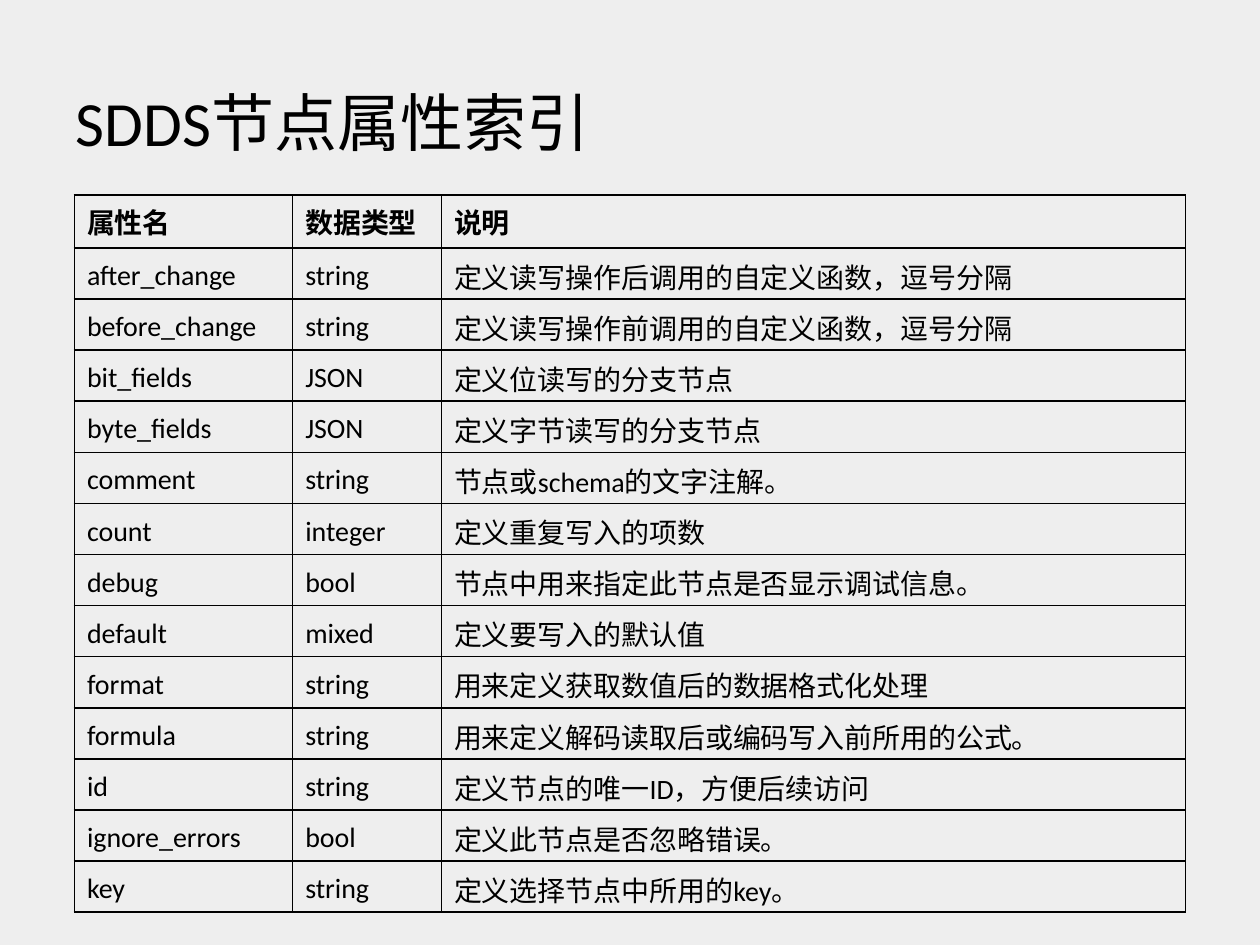
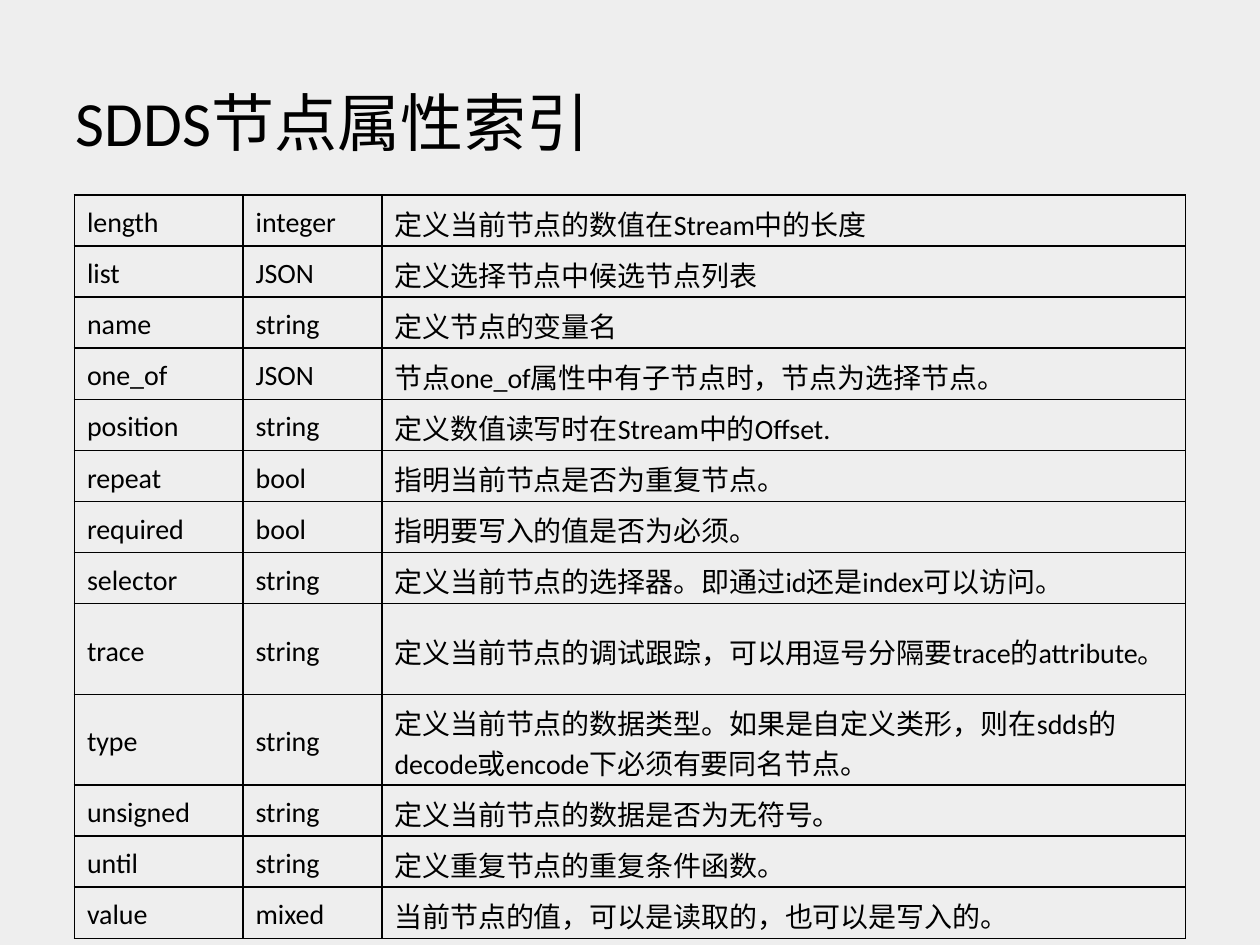
from lxml.etree import SubElement
from pptx import Presentation
from pptx.dml.color import RGBColor
from pptx.enum.text import MSO_ANCHOR as Anchor, MSO_AUTO_SIZE as AutoSize, PP_ALIGN as Align
from pptx.oxml.ns import qn
from pptx.util import Cm, Pt

# Shared style
BLACK = RGBColor(0x00, 0x00, 0x00)
PAPER = RGBColor(0xEE, 0xEE, 0xEE)
FONT = "Calibri"
TITLE = "SDDS节点属性索引"
ROW_HEIGHT = Cm(1.03)


def write(tf, text, size=16, bold=False, color=BLACK, align=Align.LEFT):
    """Put one formatted paragraph into a text frame."""
    p = tf.paragraphs[0]
    p.alignment = align
    r = p.add_run()
    r.text = text
    r.font.name = FONT
    r.font.size = Pt(size)
    r.font.bold = bold
    r.font.color.rgb = color


class Deck:
    def __init__(self):
        self.prs = Presentation()
        self.prs.slide_width, self.prs.slide_height = Cm(25.4), Cm(19.05)
        fill = self.prs.slide_master.background.fill
        fill.solid()
        fill.fore_color.rgb = PAPER
        self.slide = None

    def add_slide(self, title):
        self.slide = self.prs.slides.add_slide(self.prs.slide_layouts[5])
        sp = self.slide.shapes.title
        sp.left, sp.top, sp.width, sp.height = Cm(1.27), Cm(1), Cm(22.86), Cm(2.33)
        tf = sp.text_frame
        tf.auto_size = AutoSize.NONE
        tf.vertical_anchor = Anchor.BOTTOM
        write(tf, title, size=36)

    def border(self, cell, width=Pt(1)):
        tcPr = cell._tc.get_or_add_tcPr()
        for side in ("lnL", "lnR", "lnT", "lnB"):
            ln = SubElement(tcPr, qn(f"a:{side}"), w=str(width))
            fill = SubElement(ln, qn("a:solidFill"))
            SubElement(fill, qn("a:srgbClr"), val=str(BLACK))

    def add_table(self, rows, widths, header=None):
        lines = ([header] if header else []) + rows
        frame = self.slide.shapes.add_table(
            len(lines), len(widths), Cm(1.5), Cm(3.93),
            Cm(sum(widths)), ROW_HEIGHT * len(lines))
        table = frame.table
        table.first_row = table.horz_banding = False
        for col, width in zip(table.columns, widths):
            col.width = Cm(width)
        for i, line in enumerate(lines):
            table.rows[i].height = ROW_HEIGHT
            is_header = line is header
            for j, text in enumerate(line):
                cell = table.cell(i, j)
                self.border(cell)
                cell.fill.background()
                if not is_header:
                    cell.vertical_anchor = Anchor.MIDDLE
                    cell.margin_top, cell.margin_bottom = Cm(0.15), Cm(0.05)
                write(cell.text_frame, text, bold=is_header)


deck = Deck()

# Slide 1: attributes from after_change to key
deck.add_slide(TITLE)
deck.add_table([
    ("after_change", "string", "定义读写操作后调用的自定义函数，逗号分隔"),
    ("before_change", "string", "定义读写操作前调用的自定义函数，逗号分隔"),
    ("bit_fields", "JSON", "定义位读写的分支节点"),
    ("byte_fields", "JSON", "定义字节读写的分支节点"),
    ("comment", "string", "节点或schema的文字注解。"),
    ("count", "integer", "定义重复写入的项数"),
    ("debug", "bool", "节点中用来指定此节点是否显示调试信息。"),
    ("default", "mixed", "定义要写入的默认值"),
    ("format", "string", "用来定义获取数值后的数据格式化处理"),
    ("formula", "string", "用来定义解码读取后或编码写入前所用的公式。"),
    ("id", "string", "定义节点的唯一ID，方便后续访问"),
    ("ignore_errors", "bool", "定义此节点是否忽略错误。"),
    ("key", "string", "定义选择节点中所用的key。"),
], widths=(4.4, 3, 15), header=("属性名", "数据类型", "说明"))

# Slide 2: attributes from length to value
deck.add_slide(TITLE)
deck.add_table([
    ("length", "integer", "定义当前节点的数值在Stream中的长度"),
    ("list", "JSON", "定义选择节点中候选节点列表"),
    ("name", "string", "定义节点的变量名"),
    ("one_of", "JSON", "节点one_of属性中有子节点时，节点为选择节点。"),
    ("position", "string", "定义数值读写时在Stream中的Offset."),
    ("repeat", "bool", "指明当前节点是否为重复节点。"),
    ("required", "bool", "指明要写入的值是否为必须。"),
    ("selector", "string", "定义当前节点的选择器。即通过id还是index可以访问。"),
    ("trace", "string", "定义当前节点的调试跟踪，可以用逗号分隔要trace的attribute。"),
    ("type", "string", "定义当前节点的数据类型。如果是自定义类形，则在sdds的decode或encode下必须有要同名节点。"),
    ("unsigned", "string", "定义当前节点的数据是否为无符号。"),
    ("until", "string", "定义重复节点的重复条件函数。"),
    ("value", "mixed", "当前节点的值，可以是读取的，也可以是写入的。"),
], widths=(3.4, 2.8, 16.2))

deck.prs.save("out.pptx")
